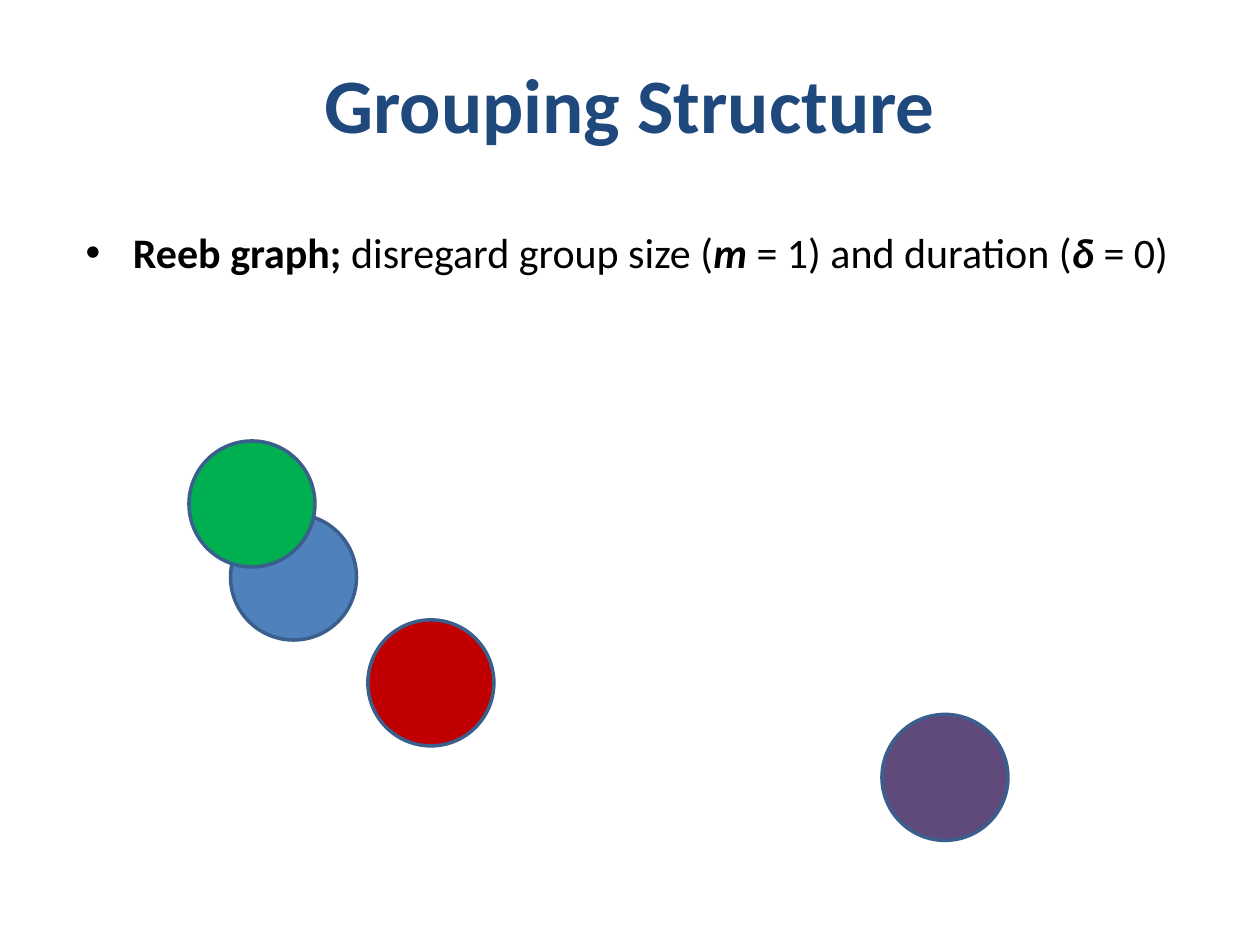
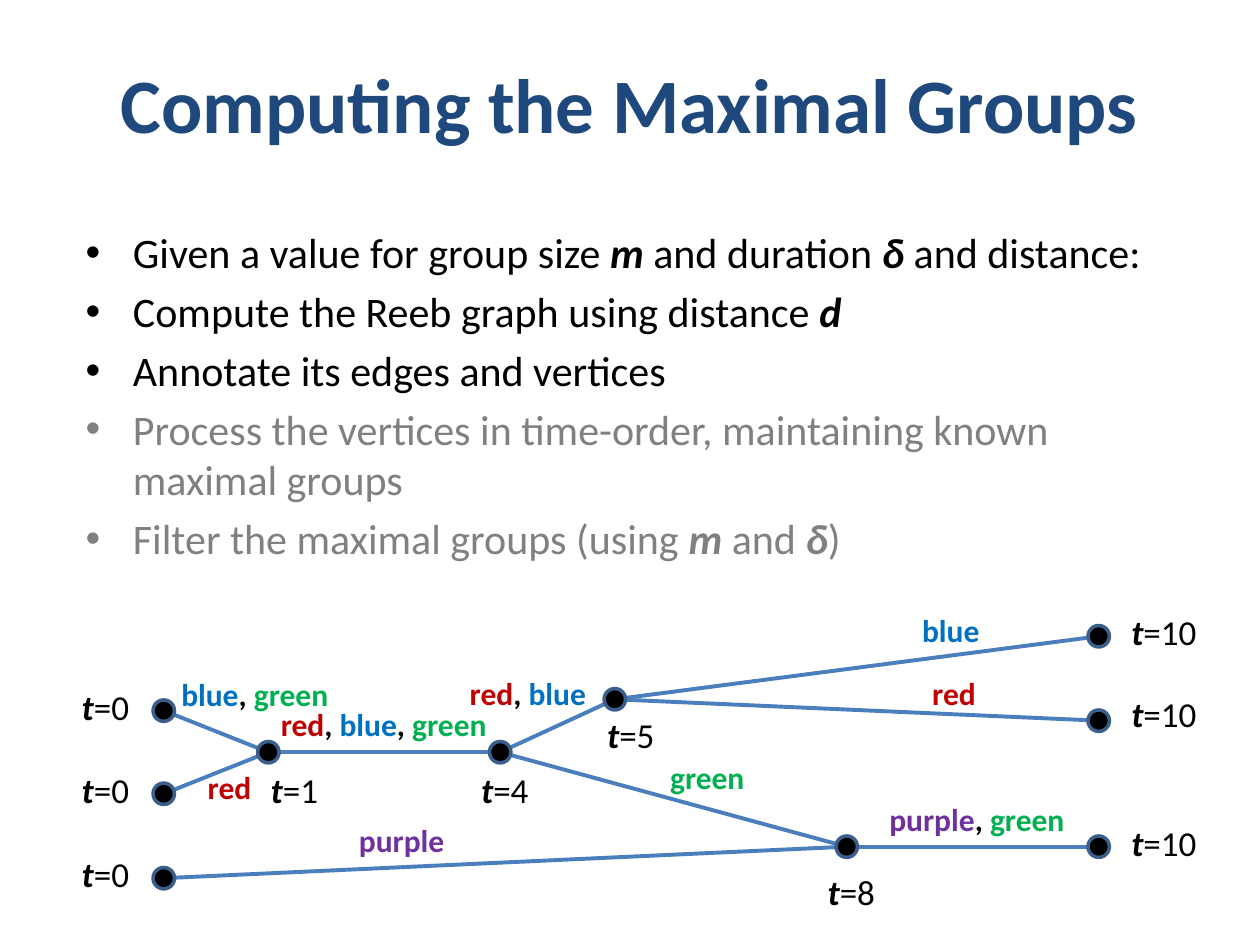
import pptx
import pptx.dml.color
import pptx.enum.shapes
import pptx.enum.text
import pptx.oxml.ns
import pptx.util
from lxml import etree

Inches = pptx.util.Inches
Pt = pptx.util.Pt
RGBColor = pptx.dml.color.RGBColor

BLACK = RGBColor(0x00, 0x00, 0x00)
GRAY = RGBColor(0x80, 0x80, 0x80)
NAVY = RGBColor(0x1F, 0x49, 0x7D)
OUTLINE = RGBColor(0x3A, 0x5F, 0x8C)
EDGE = RGBColor(0x4B, 0x7E, 0xBC)
DISC_BLUE = RGBColor(0x4F, 0x81, 0xBD)
DISC_PURPLE = RGBColor(0x60, 0x4A, 0x7B)
GREEN = RGBColor(0x00, 0xB0, 0x50)
RED = RGBColor(0xC0, 0x00, 0x00)
BLUE = RGBColor(0x00, 0x70, 0xC0)
PURPLE = RGBColor(0x70, 0x30, 0xA0)

ENTITY_COLORS = {"red": RED, "blue": BLUE, "green": GREEN, "purple": PURPLE}
TITLE = {"name": "Calibri", "size": Pt(44), "bold": True}
BODY = {"name": "Calibri", "size": Pt(24), "bold": False, "italic": False}
EDGE_LABEL = {"name": "Calibri", "size": Pt(18), "bold": True}
TIME_LABEL = {"name": "Calibri", "size": Pt(20), "bold": False, "italic": False}
STRONG = {"bold": True}
VARIABLE = {"bold": True, "italic": True}

DISC_SIZE = 1
NODE_SIZE = 0.17
DISCS = [(1.83, 4.08, DISC_BLUE), (1.5, 3.5, GREEN), (2.92, 4.92, RED), (7, 5.67, DISC_PURPLE)]

NODES = {
    "start top": (1.3, 5.64),
    "start middle": (1.3, 6.3),
    "start bottom": (1.3, 6.97),
    "first merge": (2.13, 5.97),
    "first split": (3.97, 5.97),
    "second split": (4.88, 5.55),
    "last merge": (6.72, 6.72),
    "end top": (8.72, 5.05),
    "end middle": (8.72, 5.72),
    "end bottom": (8.72, 6.72),
}
EDGES = [
    ("start top", "first merge"),
    ("start middle", "first merge"),
    ("first merge", "first split"),
    ("first split", "second split"),
    ("first split", "last merge"),
    ("start bottom", "last merge"),
    ("last merge", "end bottom"),
    ("second split", "end top"),
    ("second split", "end middle"),
]
EDGE_GROUPS = [
    (2.75, 6.47, 0.88, ["purple"]),
    (2.13, 5.55, 1.85, ["red", "blue", "green"]),
    (1.34, 5.31, 1.38, ["blue", "green"]),
    (1.55, 6.05, 0.55, ["red"]),
    (5.22, 5.97, 0.8, ["green"]),
    (6.96, 6.3, 1.6, ["purple", "green"]),
    (7.3, 5.3, 0.55, ["red"]),
    (7.22, 4.8, 0.66, ["blue"]),
    (3.63, 5.3, 1.13, ["red", "blue"]),
]
TIMES = [
    (0.55, 5.39, 0), (0.55, 6.05, 0), (0.55, 6.72, 0),
    (2.05, 6.05, 1), (3.72, 6.05, 4), (4.72, 5.61, 5), (6.47, 6.86, 8),
    (8.88, 4.8, 10), (8.88, 5.45, 10), (8.88, 6.47, 10),
]

REEB_POINTS = [
    (BLACK, [("Reeb graph; ", STRONG), ("disregard group size (", {}), ("m ", VARIABLE),
             ("= 1) and duration (", {}), ("δ ", VARIABLE), ("= 0)", {})]),
]
ALGORITHM_POINTS = [
    (BLACK, [("Given a value for group size ", {}), ("m", VARIABLE), (" and duration ", {}),
             ("δ", VARIABLE), (" and distance:", {})]),
    (BLACK, [("Compute the Reeb graph using distance ", {}), ("d", VARIABLE)]),
    (BLACK, [("Annotate its edges and vertices", {})]),
    (GRAY, [("Process the vertices in time-order, maintaining known maximal groups", {})]),
    (GRAY, [("Filter the maximal groups (using ", {}), ("m", VARIABLE), (" and ", {}),
            ("δ", VARIABLE), (")", {})]),
]


def place(shape, left, top, width, height):
    position = {"left": left, "top": top, "width": width, "height": height}
    for name, value in position.items():
        setattr(shape, name, Inches(value))


def add_span(para, text, color, formats):
    span = para.add_run()
    span.text = text
    span.font.color.rgb = color
    for name, value in formats.items():
        setattr(span.font, name, value)


def add_page(deck, title, points, body_height):
    page = deck.slides.add_slide(deck.slide_layouts[1])
    heading, body = page.placeholders
    place(heading, 0.5, 0.3, 9, 1.03)
    add_span(heading.text_frame.paragraphs[0], title, NAVY, TITLE)
    place(body, 0.58, 1.75, 9, body_height)
    frame = body.text_frame
    frame.auto_size = pptx.enum.text.MSO_AUTO_SIZE.NONE
    for index, (color, spans) in enumerate(points):
        para = frame.add_paragraph() if index else frame.paragraphs[0]
        para.space_before = Pt(4.8 if index else 0)
        for text, formats in spans:
            add_span(para, text, color, BODY | formats)
    return page


def add_disc(page, left, top, size, color):
    disc = page.shapes.add_shape(
        pptx.enum.shapes.MSO_SHAPE.OVAL, Inches(left), Inches(top), Inches(size), Inches(size))
    disc.shadow.inherit = False
    disc.fill.solid()
    disc.fill.fore_color.rgb = color
    disc.line.color.rgb = OUTLINE
    disc.line.width = Pt(2)


def add_edge(page, start, end):
    points = [Inches(value) for value in NODES[start] + NODES[end]]
    edge = page.shapes.add_connector(pptx.enum.shapes.MSO_CONNECTOR.STRAIGHT, *points)
    edge.line.color.rgb = EDGE
    edge.line.width = Pt(2.25)
    etree.SubElement(edge._element.spPr, pptx.oxml.ns.qn("a:effectLst"))


def add_label(page, left, top, width, height, spans, formats):
    box = page.shapes.add_textbox(Inches(left), Inches(top), Inches(width), Inches(height))
    frame = box.text_frame
    frame.word_wrap = False
    frame.auto_size = pptx.enum.text.MSO_AUTO_SIZE.SHAPE_TO_FIT_TEXT
    for text, color, extra in spans:
        add_span(frame.paragraphs[0], text, color, formats | extra)


def add_group_label(page, left, top, width, entities):
    spans = []
    for entity in entities:
        if spans:
            spans.append((", ", BLACK, {}))
        spans.append((entity, ENTITY_COLORS[entity], {}))
    add_label(page, left, top, width, 0.4, spans, EDGE_LABEL)


def add_time_label(page, left, top, time):
    spans = [("t", BLACK, VARIABLE), (f"={time}", BLACK, {})]
    add_label(page, left, top, 0.72 if time >= 10 else 0.58, 0.44, spans, TIME_LABEL)


def add_reeb_graph(page):
    for start, end in EDGES:
        add_edge(page, start, end)
    for x, y in NODES.values():
        add_disc(page, x - NODE_SIZE / 2, y - NODE_SIZE / 2, NODE_SIZE, BLACK)
    for label in EDGE_GROUPS:
        add_group_label(page, *label)
    for label in TIMES:
        add_time_label(page, *label)


def main():
    deck = pptx.Presentation()
    deck.slide_width = Inches(10)
    deck.slide_height = Inches(7.5)

    grouping = add_page(deck, "Grouping Structure", REEB_POINTS, 1.5)
    for left, top, color in DISCS:
        add_disc(grouping, left, top, DISC_SIZE, color)

    computing = add_page(deck, "Computing the Maximal Groups", ALGORITHM_POINTS, 2.83)
    add_reeb_graph(computing)

    deck.save("out.pptx")


if __name__ == "__main__":
    main()
